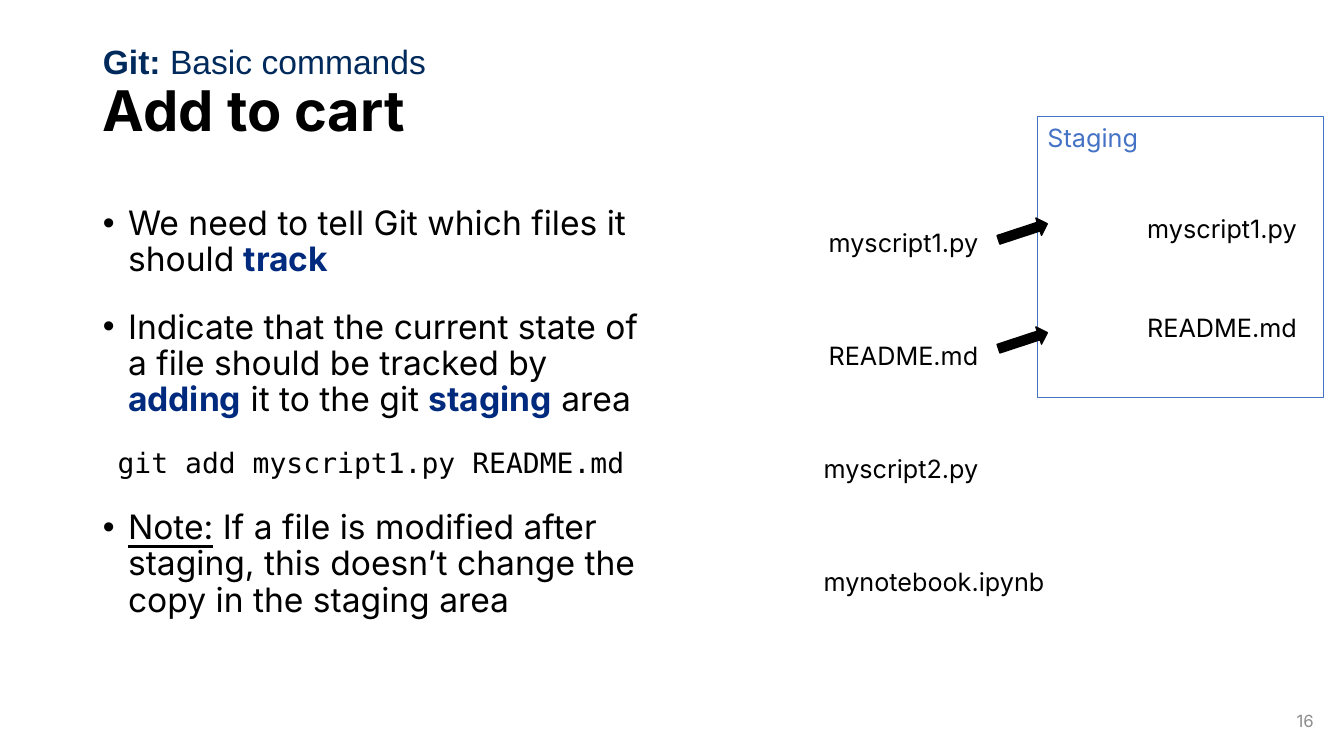
from dataclasses import dataclass

from lxml.etree import SubElement
from pptx import Presentation
from pptx.dml.color import RGBColor
from pptx.enum.shapes import MSO_SHAPE
from pptx.enum.text import MSO_ANCHOR, MSO_AUTO_SIZE, PP_ALIGN
from pptx.oxml.ns import qn
from pptx.util import Inches, Pt

COLORS = {
    "black": "000000",
    "key": "002A7E",
    "kicker": "002A5C",
    "staging": "4472C4",
    "number": "8C8C8C",
}
BODY = {"name": "Inter", "size": Pt(24)}
KEY = {**BODY, "bold": True}
NOTE = {**BODY, "underline": True}
CODE = {"name": "DejaVu Sans Mono", "size": Pt(20)}
KICKER = {"name": "Arial", "size": Pt(24)}
LABEL = {"name": "Inter", "size": Pt(18)}


@dataclass
class Run:
    text: str
    font: dict
    color: str = "black"


@dataclass
class Para:
    runs: list[Run]
    bullet: bool = False
    align: PP_ALIGN = PP_ALIGN.LEFT


@dataclass
class Label:
    text: str
    left: float
    top: float
    width: float
    color: str = "black"


def rgb(name: str) -> RGBColor:
    return RGBColor.from_string(COLORS[name])


def place(sp, left: float, top: float, width: float, height: float) -> None:
    sp.left, sp.top = Inches(left), Inches(top)
    sp.width, sp.height = Inches(width), Inches(height)


def set_bullet(p, bullet: bool) -> None:
    pPr = p._p.get_or_add_pPr()
    indent = Inches(0.25) if bullet else 0
    pPr.set("marL", str(indent))
    pPr.set("indent", str(-indent))
    if bullet:
        SubElement(pPr, qn("a:buFont")).set("typeface", "Arial")
        SubElement(pPr, qn("a:buChar")).set("char", "•")
    else:
        SubElement(pPr, qn("a:buNone"))


def write(tf, paras: list[Para], spacing: dict) -> None:
    for i, para in enumerate(paras):
        p = tf.add_paragraph() if i else tf.paragraphs[0]
        set_bullet(p, para.bullet)
        p.alignment = para.align
        for name, value in spacing.items():
            setattr(p, name, value)
        if i == 0:
            p.space_before = Pt(0)
        for run in para.runs:
            r = p.add_run()
            r.text = run.text
            for name, value in run.font.items():
                setattr(r.font, name, value)
            r.font.color.rgb = rgb(run.color)


def fill_placeholder(sp, box: tuple, anchor: MSO_ANCHOR, paras: list[Para]) -> None:
    place(sp, *box)
    tf = sp.text_frame
    tf.word_wrap = True
    tf.auto_size = MSO_AUTO_SIZE.NONE
    tf.vertical_anchor = anchor
    write(tf, paras, {"line_spacing": 0.9, "space_before": Pt(10), "space_after": Pt(12)})


def add_label(s, label: Label) -> None:
    box = (label.left, label.top, label.width, 0.4)
    tf = s.shapes.add_textbox(*map(Inches, box)).text_frame
    tf.word_wrap = False
    tf.auto_size = MSO_AUTO_SIZE.SHAPE_TO_FIT_TEXT
    write(tf, [Para([Run(label.text, LABEL, label.color)])], {})


def add_staging_area(s) -> None:
    sp = s.shapes.add_shape(MSO_SHAPE.RECTANGLE, *map(Inches, (10.29, 1.16, 2.84, 2.78)))
    sp.shadow.inherit = False
    sp.fill.background()
    sp.line.color.rgb = rgb("staging")
    sp.line.width = Pt(0.75)


def add_arrow(s, left: float, top: float) -> None:
    sp = s.shapes.add_shape(MSO_SHAPE.RIGHT_ARROW, *map(Inches, (left, top, 0.51, 0.18)))
    sp.rotation = 341.8
    sp.shadow.inherit = False
    sp.fill.solid()
    sp.fill.fore_color.rgb = rgb("black")
    sp.line.color.rgb = rgb("black")
    sp.line.width = Pt(1)


def add_slide_number(s, number: str) -> None:
    tf = s.shapes.add_textbox(*map(Inches, (10.13, 6.95, 3, 0.4))).text_frame
    tf.word_wrap = True
    tf.vertical_anchor = MSO_ANCHOR.MIDDLE
    run = Run(number, {"name": "Inter", "size": Pt(12)}, "number")
    write(tf, [Para([run], align=PP_ALIGN.RIGHT)], {})


def main() -> None:
    prs = Presentation()
    prs.slide_width, prs.slide_height = Inches(13.33), Inches(7.5)
    s = prs.slides.add_slide(prs.slide_layouts.get_by_name("Two Content"))
    title, body, kicker = s.placeholders

    fill_placeholder(title, (0.92, 0.4, 11.5, 1.45), MSO_ANCHOR.MIDDLE, [
        Para([Run("Add to cart", {"name": "Inter", "size": Pt(40), "bold": True})]),
    ])
    title.text_frame.paragraphs[0].space_after = Pt(0)
    fill_placeholder(body, (0.92, 2, 5.52, 4.95), MSO_ANCHOR.TOP, [
        Para([Run("We need to tell Git which files it should ", BODY),
              Run("track", KEY, "key")], bullet=True),
        Para([Run("Indicate that the current state of a file should be tracked by ", BODY),
              Run("adding", KEY, "key"),
              Run(" it to the git ", BODY),
              Run("staging", KEY, "key"),
              Run(" area", BODY)], bullet=True),
        Para([Run("git add myscript1.py README.md", CODE)], align=PP_ALIGN.CENTER),
        Para([Run("Note:", NOTE),
              Run(" If a file is modified after staging, this doesn’t change "
                  "the copy in the staging area", BODY)], bullet=True),
    ])
    fill_placeholder(kicker, (0.92, 0.4, 8.49, 0.5), MSO_ANCHOR.TOP, [
        Para([Run("Git: ", {**KICKER, "bold": True}, "kicker"),
              Run("Basic commands", KICKER, "kicker")]),
    ])
    add_slide_number(s, "16")

    working_files = [("myscript1.py", 8.12, 1.71), ("README.md", 8.12, 1.69),
                     ("myscript2.py", 8.07, 1.75), ("mynotebook.ipynb", 8.07, 2.42)]
    for row, (name, left, width) in enumerate(working_files):
        add_label(s, Label(name, left, 2.21 + 1.12 * row, width))

    add_staging_area(s)
    add_label(s, Label("Staging", 10.29, 1.16, 1.11, "staging"))
    for row, (name, _, width) in enumerate(working_files[:2]):
        add_label(s, Label(name, 11.28, 2.07 + 0.98 * row, width))
        add_arrow(s, 9.89, 2.21 + 1.08 * row)

    prs.save("out.pptx")


if __name__ == "__main__":
    main()
